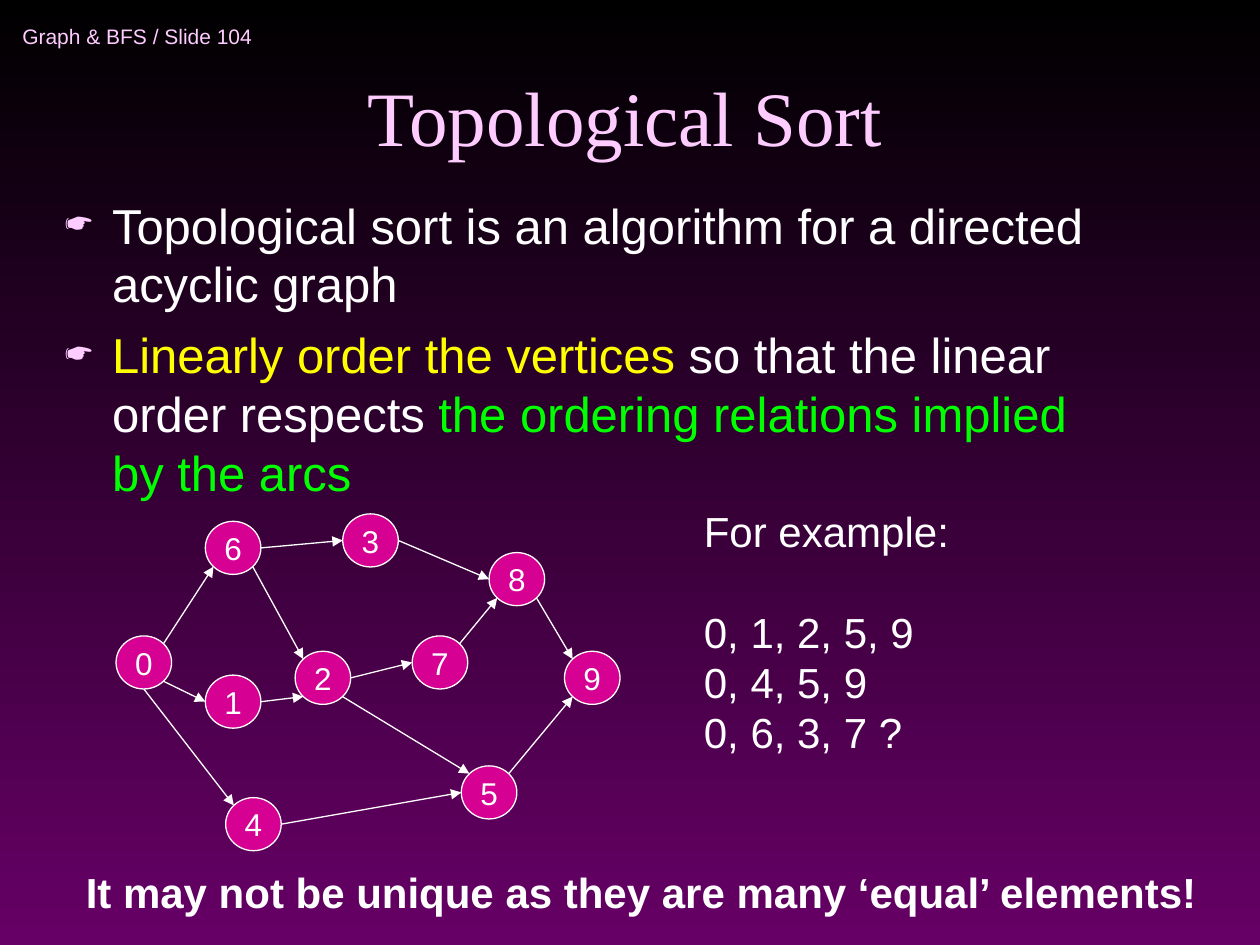
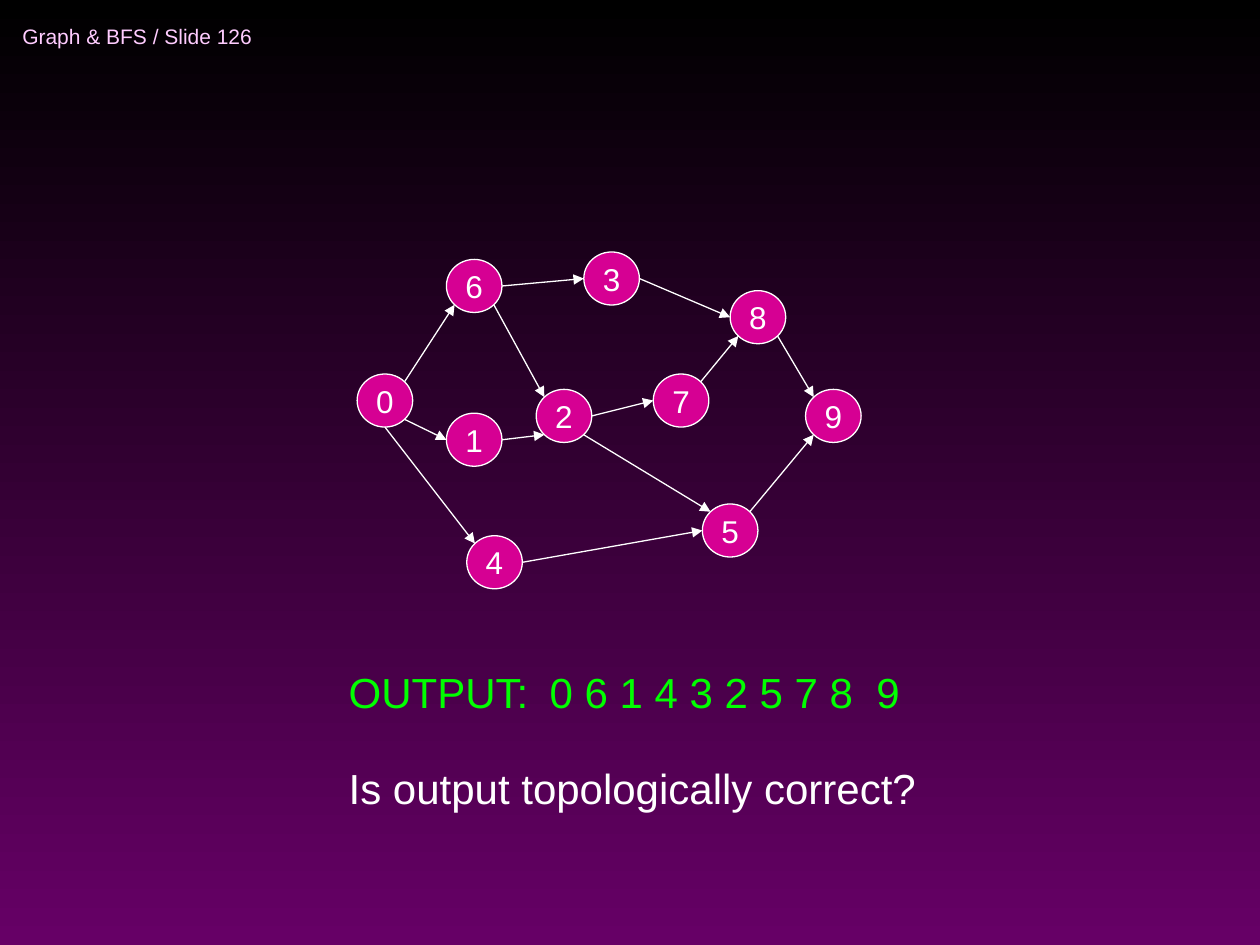
from math import cos, radians, sin

from pptx import Presentation
from pptx.dml.color import RGBColor
from pptx.enum.shapes import MSO_CONNECTOR as Connector, MSO_SHAPE as Shape
from pptx.enum.text import MSO_ANCHOR as Anchor, PP_ALIGN as Align
from pptx.oxml.ns import qn
from pptx.util import Cm, Pt
from lxml.etree import SubElement

COLORS = {
    "top": "000000",
    "bottom": "660066",
    "accent": "FFCCFF",
    "text": "FFFFFF",
    "key": "FFFF00",
    "result": "00FF00",
    "node": "D60093",
}

NODE_WIDTH, NODE_HEIGHT = 1.12, 1.07
NODES = [
    (0, 2.46), (1.8, 3.25), (3.61, 2.77), (4.57, 0), (2.21, 5.72),
    (6.96, 5.08), (1.8, 0.15), (5.97, 2.46), (7.52, 0.78), (9.04, 2.77),
]
SITES = {
    "right": 0, "lower right": 45, "bottom": 90, "lower left": 135,
    "left": 180, "upper left": 225, "upper right": 315,
}
ARCS = [
    (0, "bottom", 4, "upper left"),
    (0, "lower right", 1, "left"),
    (0, "upper right", 6, "lower left"),
    (6, "right", 3, "left"),
    (6, "lower right", 2, "upper left"),
    (1, "right", 2, "lower left"),
    (4, "right", 5, "left"),
    (2, "lower right", 5, "upper left"),
    (5, "upper right", 9, "lower left"),
    (2, "right", 7, "left"),
    (3, "right", 8, "left"),
    (8, "lower right", 9, "upper left"),
    (7, "upper right", 8, "lower left"),
]


def rgb(name):
    return RGBColor.from_string(COLORS[name])


class Deck:
    font = "Arial"
    title_font = "Times New Roman"
    line_factor = 1.2

    def __init__(self):
        self.presentation = Presentation()
        self.presentation.slide_width = Cm(25.4)
        self.presentation.slide_height = Cm(19.05)
        self.slide = None

    def add_slide(self, number):
        layout = self.presentation.slide_layouts[6]
        self.slide = self.presentation.slides.add_slide(layout)
        fill = self.slide.background.fill
        fill.gradient()
        fill.gradient_angle = 270
        for stop, name, position in zip(fill.gradient_stops, ("top", "bottom"), (0, 1)):
            stop.color.rgb = rgb(name)
            stop.position = position
        self.add_text((0.2, 0.2, 7, 1.06), [f"Graph & BFS / Slide {number}"],
                      size=12, color="accent", anchor=Anchor.MIDDLE)

    def add_runs(self, paragraph, runs, size, color="text", font=None, bold=False):
        paragraph.line_spacing = Pt(round(size * self.line_factor, 1))
        if isinstance(runs, str):
            runs = [(runs, color)]
        for text, run_color in runs:
            run = paragraph.add_run()
            run.text = text
            run.font.size = Pt(size)
            run.font.name = font or self.font
            run.font.bold = bold
            run.font.color.rgb = rgb(run_color)

    def add_text(self, box, paragraphs, size=24, anchor=Anchor.TOP,
                 align=Align.LEFT, **style):
        frame = self.slide.shapes.add_textbox(*map(Cm, box)).text_frame
        frame.word_wrap = True
        frame.vertical_anchor = anchor
        for index, runs in enumerate(paragraphs):
            paragraph = frame.paragraphs[0] if index == 0 else frame.add_paragraph()
            paragraph.alignment = align
            self.add_runs(paragraph, runs, size, **style)
        return frame.paragraphs

    def add_title(self, text):
        self.add_text((1.7, 0.64, 21.8, 2.74), [text], size=44, color="accent",
                      font=self.title_font, anchor=Anchor.BOTTOM, align=Align.CENTER)

    def add_bullets(self, box, items):
        for index, paragraph in enumerate(self.add_text(box, items, size=28)):
            if index:
                paragraph.space_before = Pt(7)
            properties = paragraph._p.get_or_add_pPr()
            properties.set("marL", str(Cm(0.95)))
            properties.set("indent", str(-Cm(0.95)))
            bullet_color = SubElement(properties, qn("a:buClr"))
            SubElement(bullet_color, qn("a:srgbClr"), val=COLORS["accent"])
            SubElement(properties, qn("a:buSzPct"), val="75000")
            SubElement(properties, qn("a:buChar"), char="☛")

    def add_tabs(self, paragraph, stops):
        tabs = SubElement(paragraph._p.get_or_add_pPr(), qn("a:tabLst"))
        for stop in stops:
            SubElement(tabs, qn("a:tab"), pos=str(Cm(stop)), algn="l")

    def add_node(self, group, left, top, label):
        node = group.shapes.add_shape(Shape.OVAL, Cm(left), Cm(top),
                                      Cm(NODE_WIDTH), Cm(NODE_HEIGHT))
        node.shadow.inherit = False
        node.fill.solid()
        node.fill.fore_color.rgb = rgb("node")
        node.line.color.rgb = rgb("text")
        node.line.width = Pt(0.75)
        frame = node.text_frame
        frame.word_wrap = False
        frame.vertical_anchor = Anchor.MIDDLE
        frame.paragraphs[0].alignment = Align.CENTER
        self.add_runs(frame.paragraphs[0], label, 18)

    def add_arrow(self, group, start, end):
        arrow = group.shapes.add_connector(Connector.STRAIGHT, *map(Cm, start + end))
        arrow.line.color.rgb = rgb("text")
        arrow.line.width = Pt(0.75)
        properties = arrow._element.spPr
        SubElement(properties.find(qn("a:ln")), qn("a:tailEnd"), type="triangle")
        SubElement(properties, qn("a:effectLst"))

    def add_graph(self, left, top):
        group = self.slide.shapes.add_group_shape()
        corners = [(left + x, top + y) for x, y in NODES]

        def site(node, side):
            x, y = corners[node]
            angle = radians(SITES[side])
            return (x + NODE_WIDTH / 2 * (1 + cos(angle)),
                    y + NODE_HEIGHT / 2 * (1 + sin(angle)))

        for label, corner in enumerate(corners):
            self.add_node(group, *corner, str(label))
        for source, source_side, target, target_side in ARCS:
            self.add_arrow(group, site(source, source_side), site(target, target_side))


def main():
    deck = Deck()

    deck.add_slide(104)
    deck.add_title("Topological Sort")
    deck.add_bullets((1.06, 3.81, 21.8, 13.76), [
        "Topological sort is an algorithm for a directed acyclic graph",
        [("Linearly order the vertices", "key"),
         (" so that the linear order respects ", "text"),
         ("the ordering relations implied by the arcs", "result")],
    ])
    deck.add_graph(2.34, 10.36)
    example = deck.add_text((13.94, 10.06, 5.8, 5.33), [
        "For example:", "0, 1, 2, 5, 9", "0, 4, 5, 9", "0, 6, 3, 7 ?"])
    example[1].space_before = Pt(28.8)
    deck.add_text((1.48, 17.35, 23.6, 1.27),
                  ["It may not be unique as they are many ‘equal’ elements!"], bold=True)

    deck.add_slide(126)
    output = deck.add_text((6.78, 13.31, 13, 1.27),
                           ["OUTPUT:\t0 6 1 4 3 2 5 7 8\t9"], color="result")
    deck.add_tabs(output[0], (4.05, 10.64))
    deck.add_graph(7.2, 5.08)
    deck.add_text((6.78, 15.24, 13, 1.27), ["Is output topologically correct?"])

    deck.presentation.save("out.pptx")


if __name__ == "__main__":
    main()
